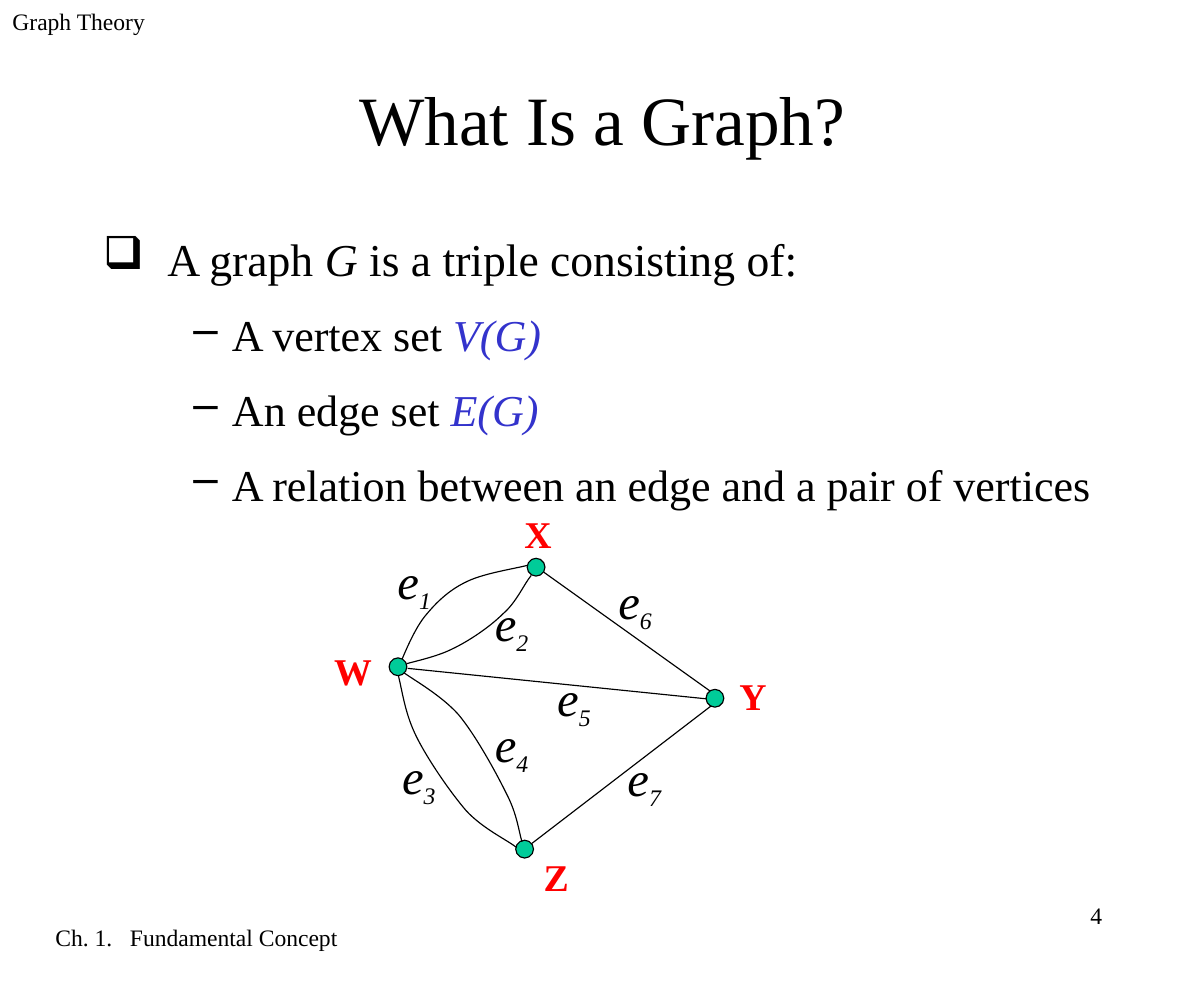
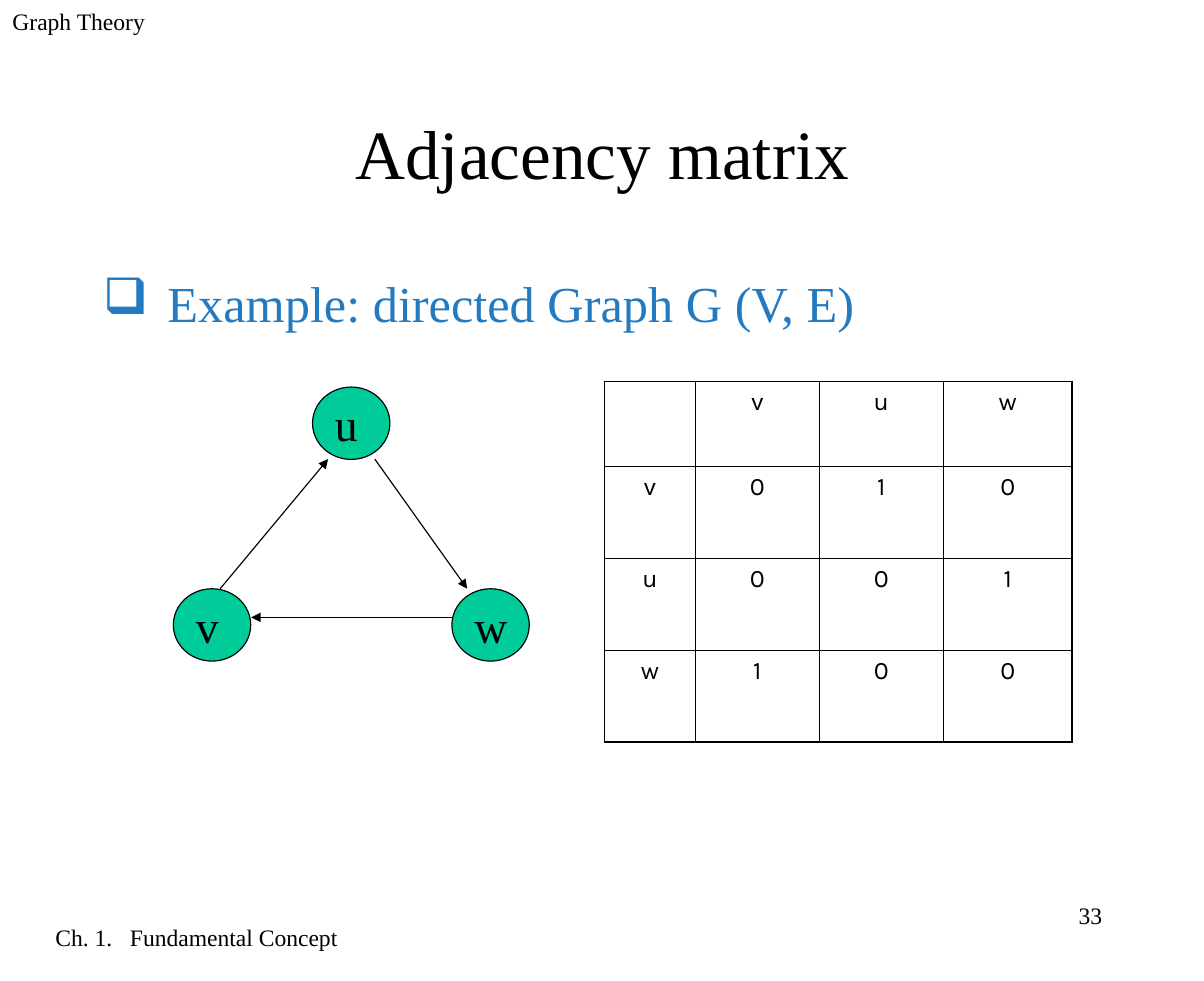
from dataclasses import dataclass
from typing import Any

from lxml import etree
from pptx import Presentation
from pptx.dml.color import RGBColor
from pptx.enum.shapes import MSO_CONNECTOR, MSO_SHAPE
from pptx.enum.text import MSO_ANCHOR, MSO_AUTO_SIZE, PP_ALIGN
from pptx.oxml.ns import qn
from pptx.util import Pt

LEFT, CENTER, RIGHT = PP_ALIGN.LEFT, PP_ALIGN.CENTER, PP_ALIGN.RIGHT
TOP, MIDDLE = MSO_ANCHOR.TOP, MSO_ANCHOR.MIDDLE
ELLIPSE, STRAIGHT = MSO_SHAPE.OVAL, MSO_CONNECTOR.STRAIGHT

COLORS = {"ink": "000000", "vertex": "00CC99", "name": "FF0000",
          "set": "3333CC", "example": "237AC1"}
SERIF, TABLE_FONT = "Times New Roman", "Karla"
LINE_WIDTH = 0.75
CONTENT_LEFT, CONTENT_WIDTH = 57.6, 650.9
FRAME = {"margin_left": Pt(7.9), "margin_right": Pt(7.9), "margin_top": Pt(4.3),
         "margin_bottom": Pt(4.3), "word_wrap": True,
         "auto_size": MSO_AUTO_SIZE.NONE, "vertical_anchor": TOP}
NODE_FRAME = {**FRAME, "margin_left": Pt(7.2), "margin_right": Pt(7.2), "margin_top": Pt(3.6),
              "margin_bottom": Pt(3.6), "word_wrap": False, "vertical_anchor": MIDDLE}

Point = tuple[float, float]


@dataclass
class Span:
    text: str
    size: float
    color: str = "ink"
    bold: bool = False
    italic: bool = False
    font: str = SERIF
    baseline: int = 0


@dataclass
class Box:
    left: float
    top: float
    width: float
    height: float

    def emu(self) -> list[int]:
        return [Pt(v) for v in (self.left, self.top, self.width, self.height)]


@dataclass
class Bullet:
    char: str
    margin: float
    hanging: float
    line_spacing: float
    color: str = "ink"


@dataclass
class Vertex:
    name: str
    center: Point
    label_at: Point


@dataclass
class EdgeLabel:
    number: str
    at: Point


def rgb(name: str) -> RGBColor:
    return RGBColor.from_string(COLORS[name])


def apply(target: Any, values: dict[str, Any]) -> None:
    for attribute, value in values.items():
        setattr(target, attribute, value)


def write(paragraph: Any, spans: list[Span], align: PP_ALIGN = LEFT) -> None:
    paragraph.alignment = align
    for span in spans:
        run = paragraph.add_run()
        run.text = span.text
        apply(run.font, {"size": Pt(span.size), "bold": span.bold,
                         "italic": span.italic, "name": span.font})
        run.font.color.rgb = rgb(span.color)
        if span.baseline:
            run.font._element.set("baseline", str(span.baseline))


def add_text(slide: Any, box: Box, spans: list[Span], align: PP_ALIGN = LEFT) -> Any:
    frame = slide.shapes.add_textbox(*box.emu()).text_frame
    apply(frame, FRAME)
    write(frame.paragraphs[0], spans, align)
    return frame


def add_bullet(paragraph: Any, bullet: Bullet, space_before: float = 0) -> None:
    properties = paragraph._p.get_or_add_pPr()
    properties.set("marL", str(Pt(bullet.margin)))
    properties.set("indent", str(Pt(-bullet.hanging)))
    color = etree.SubElement(properties, qn("a:buClr"))
    etree.SubElement(color, qn("a:srgbClr"), val=COLORS[bullet.color])
    etree.SubElement(properties, qn("a:buChar"), char=bullet.char)
    apply(paragraph, {"line_spacing": bullet.line_spacing, "space_before": Pt(space_before)})


def start_slide(deck: Any, title: str, title_top: float, number: str) -> Any:
    """Add a slide with its title and the running header, footer and number."""
    slide = deck.slides.add_slide(deck.slide_layouts[5])
    heading = slide.shapes.title
    place = Box(CONTENT_LEFT, title_top, CONTENT_WIDTH, 82.8).emu()
    apply(heading, dict(zip(("left", "top", "width", "height"), place)))
    apply(heading.text_frame, {**FRAME, "vertical_anchor": MIDDLE})
    write(heading.text_frame.paragraphs[0], [Span(title, 44)], CENTER)
    for text, box, align in (
        ("Graph Theory", Box(0, 0, 160, 41.8), LEFT),
        ("Ch. 1.   Fundamental Concept", Box(0, 582.3, 250, 41.8), CENTER),
        (number, Box(548.6, 568.1, 160, 41.8), RIGHT),
    ):
        add_text(slide, box, [Span(text, 15)], align)
    return slide


def outline(shape: Any) -> None:
    shape.line.color.rgb = rgb("ink")
    shape.line.width = Pt(LINE_WIDTH)


def add_vertex(slide: Any, box: Box) -> Any:
    vertex = slide.shapes.add_shape(ELLIPSE, *box.emu())
    vertex.shadow.inherit = False
    vertex.fill.solid()
    vertex.fill.fore_color.rgb = rgb("vertex")
    outline(vertex)
    return vertex


def add_edge(slide: Any, start: Point, end: Point, directed: bool = False) -> None:
    edge = slide.shapes.add_connector(STRAIGHT, *(Pt(v) for v in start + end))
    outline(edge)
    etree.SubElement(edge._element.spPr, qn("a:effectLst"))
    if directed:
        etree.SubElement(edge.line._get_or_add_ln(), qn("a:tailEnd"), type="triangle")


def add_curve(slide: Any, points: list[Point]) -> None:
    """Draw cubic segments: a start point, then two controls and an end for each."""
    start, *rest = [(Pt(x), Pt(y)) for x, y in points]
    builder = slide.shapes.build_freeform(*start)
    builder.add_line_segments(rest, close=False)
    curve = builder.convert_to_shape()
    curve.shadow.inherit = False
    curve.fill.background()
    outline(curve)
    track = next(curve._element.iter(qn("a:path")))
    steps = track.findall(qn("a:lnTo"))
    for first in range(0, len(steps), 3):
        cubic = etree.SubElement(track, qn("a:cubicBezTo"))
        for step in steps[first:first + 3]:
            cubic.append(step[0])
            track.remove(step)


def set_borders(cell: Any, widths: dict[str, float]) -> None:
    properties = cell._tc.get_or_add_tcPr()
    for position, (side, width) in enumerate(widths.items()):
        border = etree.Element(qn(f"a:ln{side}"), w=str(Pt(width)))
        fill = etree.SubElement(border, qn("a:solidFill"))
        etree.SubElement(fill, qn("a:srgbClr"), val=COLORS["ink"])
        properties.insert(position, border)


def add_matrix(slide: Any, rows: list[str], box: Box,
               widths: list[float], heights: list[float]) -> None:
    last_row, last_column = len(heights) - 1, len(widths) - 1
    matrix = slide.shapes.add_table(len(heights), len(widths), *box.emu()).table
    apply(matrix, {"first_row": False, "horz_banding": False})
    for column, width in zip(matrix.columns, widths):
        column.width = Pt(width)
    for r, (row, height) in enumerate(zip(rows, heights)):
        matrix.rows[r].height = Pt(height)
        for c, text in enumerate(row):
            cell = matrix.cell(r, c)
            cell.fill.background()
            if text.strip():
                write(cell.text_frame.paragraphs[0], [Span(text, 16, font=TABLE_FONT)], CENTER)
            outer = {"L": c == 0, "R": c == last_column, "T": r == 0, "B": r == last_row}
            set_borders(cell, {side: 1.08 if edge else 0.45 for side, edge in outer.items()})


MAIN_BULLET = Bullet("❑", 41, 41, 1.25)
SUB_BULLET = Bullet("–", 82, 24.5, 1.1)

DIAMETER = 11.3
VERTICES = [
    Vertex("X", (340.8, 360.5), (325.4, 320.4)),
    Vertex("W", (253, 423.8), (204.5, 407.5)),
    Vertex("Y", (454.5, 443.8), (462.2, 423.4)),
    Vertex("Z", (333.5, 539.7), (337.7, 538.6)),
]
EDGE_LABELS = [
    EdgeLabel("1", (244.8, 345.6)), EdgeLabel("2", (306.7, 372.2)),
    EdgeLabel("3", (247.7, 469.4)), EdgeLabel("4", (306.7, 449.3)),
    EdgeLabel("5", (346.3, 419.8)), EdgeLabel("6", (385.2, 358.6)),
    EdgeLabel("7", (391, 470.9)),
]
STRAIGHT_EDGES = [
    ((259.2, 424.8), (449.3, 444.2)),
    ((337.7, 536.4), (452.2, 448.6)),
    ((345.6, 363.6), (451.4, 439.2)),
]
CURVED_EDGES = [
    [(255.6, 419), (257.8, 414), (264.2, 398.2), (271.4, 390.2), (278.6, 381.6),
     (286.6, 374.4), (297.4, 369.4), (308.2, 364.3), (327.6, 361.4), (335.5, 359.3)],
    [(258.5, 421.9), (262.8, 420.5), (277.2, 417.6), (287.3, 412.6), (298.1, 407.5),
     (311.8, 398.2), (319.7, 390.2), (328.3, 383), (333.4, 370.8), (337.7, 365.8)],
    [(253.4, 429.8), (256.3, 442.1), (257.8, 454.3), (265, 468.7), (272.2, 483.1),
     (286.6, 504), (296.6, 515.5), (307.4, 527), (321.8, 533.5), (328.3, 538.6)],
    [(257, 427.7), (262.8, 432), (280.8, 442.1), (291.6, 454.3), (302.4, 467.3),
     (315.4, 491), (321.8, 504), (329, 517.7), (329.8, 528.5), (331.9, 535)],
]


def build_definition(deck: Any) -> None:
    slide = start_slide(deck, "What Is a Graph?", 33.8, "4")
    body = add_text(slide, Box(CONTENT_LEFT, 133.9, CONTENT_WIDTH, 435.6), [
        Span("A graph ", 29), Span("G", 29, italic=True),
        Span(" is a triple consisting of:", 29)])
    add_bullet(body.paragraphs[0], MAIN_BULLET)
    for part, symbol in (("A vertex set ", "V(G)"), ("An edge set ", "E(G)"),
                         ("A relation between an edge and a pair of vertices", "")):
        paragraph = body.add_paragraph()
        paragraph.level = 1
        add_bullet(paragraph, SUB_BULLET, 10.5)
        spans = [Span(part, 28)]
        if symbol:
            spans.append(Span(symbol, 28, "set", italic=True))
        write(paragraph, spans)

    for vertex in VERTICES:
        x, y = vertex.center
        add_vertex(slide, Box(x - DIAMETER / 2, y - DIAMETER / 2, DIAMETER, DIAMETER))
        add_text(slide, Box(*vertex.label_at, 44.6, 36.7),
                 [Span(vertex.name, 24, "name", bold=True)])
    for start, end in STRAIGHT_EDGES:
        add_edge(slide, start, end)
    for points in CURVED_EDGES:
        add_curve(slide, points)
    for label in EDGE_LABELS:
        add_text(slide, Box(*label.at, 54.7, 48.2), [
            Span("e", 31, italic=True),
            Span(label.number, 26, italic=True, baseline=-25000)])


def build_matrix(deck: Any) -> None:
    slide = start_slide(deck, "Adjacency matrix", 55.4, "33")
    example = add_text(slide, Box(CONTENT_LEFT, 159.1, CONTENT_WIDTH, 395.3),
                       [Span("Example: directed Graph G (V, E)", 32, "example")])
    add_bullet(example.paragraphs[0], Bullet("❑", 41, 41, 1.25, "example"))
    for name, left, top in (("u", 198.7, 246), ("v", 110.2, 374.2), ("w", 287.3, 374.2)):
        node = add_vertex(slide, Box(left, top, 49.2, 46))
        apply(node.text_frame, NODE_FRAME)
        write(node.text_frame.paragraphs[0], [Span(name, 29)])
    for start, end in (((238.3, 291.8), (297, 374.2)),
                       ((287.3, 392.4), (159.7, 392.4)),
                       ((140, 374.2), (208.6, 291.8))):
        add_edge(slide, start, end, directed=True)
    add_matrix(slide, [" vuw", "v010", "u001", "w100"], Box(384.3, 242.4, 297.4, 229.4),
               [57.8, 78.7, 78.9, 82], [54, 58.5, 58.7, 58.2])


def main() -> None:
    deck = Presentation()
    apply(deck, {"slide_width": Pt(765.4), "slide_height": Pt(623.5)})
    build_definition(deck)
    build_matrix(deck)
    deck.save("out.pptx")


if __name__ == "__main__":
    main()
